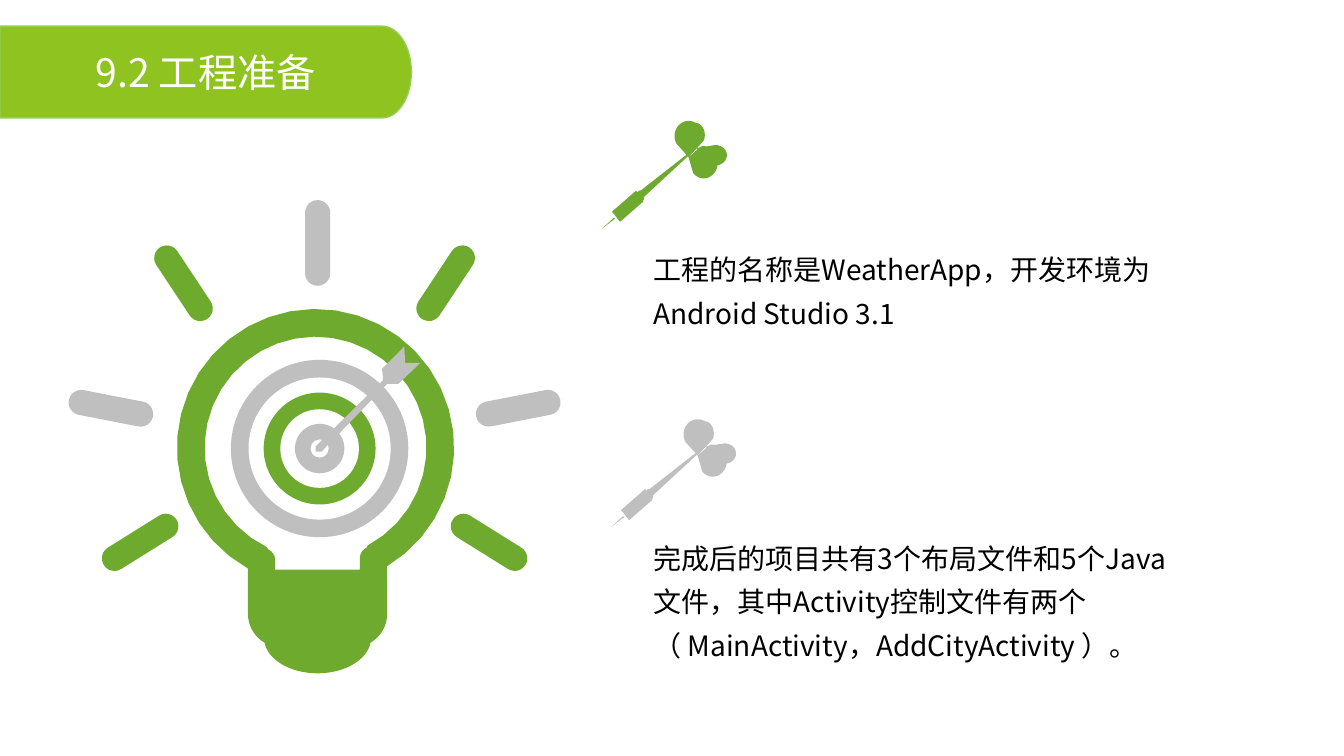
from math import atan2, cos, degrees, radians, sin

from lxml import etree
from pptx import Presentation
from pptx.dml.color import RGBColor
from pptx.enum.shapes import MSO_SHAPE
from pptx.enum.text import MSO_ANCHOR, MSO_AUTO_SIZE, PP_ALIGN
from pptx.util import Inches, Pt

OVAL, CAPSULE = MSO_SHAPE.OVAL, MSO_SHAPE.ROUNDED_RECTANGLE
MIDDLE, CENTER = MSO_ANCHOR.MIDDLE, PP_ALIGN.CENTER
GROW = MSO_AUTO_SIZE.SHAPE_TO_FIT_TEXT

GREEN = RGBColor(0x6E, 0xAA, 0x2E)
GREY = RGBColor(0xBF, 0xBF, 0xBF)
WHITE = RGBColor(0xFF, 0xFF, 0xFF)
BLACK = RGBColor(0x00, 0x00, 0x00)
BANNER_FILL = RGBColor(0x8E, 0xC3, 0x20)
BANNER_LINE = RGBColor(0x92, 0xD0, 0x50)
FONT = "Noto Sans CJK SC"
ARC_STEPS = 32

# Side rays: distance from the bulb's axis, centre height, tilt, colour
BULB_AXIS = 3.13
SIDE_RAYS = [(1.3, 2.81, 33.5, GREEN), (2.02, 4.05, 79, GREY),
             (1.73, 5.38, 122, GREEN)]
TARGET_RINGS = [(1.76, GREY), (1.41, WHITE), (1.11, GREEN),
                (0.78, WHITE), (0.49, GREY), (0.18, WHITE)]
NOTES = [
    (2.41, 0.83, "工程的名称是WeatherApp，开发环境为Android Studio 3.1"),
    (5.27, 1.27, "完成后的项目共有3个布局文件和5个Java文件，其中Activity控制文件有两个"
                 "（ MainActivity，AddCityActivity ）。"),
]


def arc(x, y, radius_x, radius_y, start, end):
    """Points on an ellipse, angles clockwise from the right."""
    angles = [radians(start + (end - start) * step / ARC_STEPS)
              for step in range(ARC_STEPS + 1)]
    return [(x + radius_x * cos(a), y + radius_y * sin(a)) for a in angles]


def leaf(tip, x, y, radius_x, radius_y):
    """An ellipse drawn out to a tip."""
    toward_tip = degrees(atan2(tip[1] - y, tip[0] - x))
    return [tip] + arc(x, y, radius_x, radius_y, toward_tip + 60, toward_tip + 300)


def paint(shape, color):
    shape.shadow.inherit = False
    shape.fill.solid()
    shape.fill.fore_color.rgb = color
    shape.line.fill.background()
    return shape


def add_outline(shapes, color, *outlines, dx=0, dy=0):
    first, *others = [[(Inches(x + dx), Inches(y + dy)) for x, y in outline]
                      for outline in outlines]
    builder = shapes.build_freeform(*first[0])
    builder.add_line_segments(first[1:])
    for points in others:
        builder.move_to(*points[0])
        builder.add_line_segments(points[1:])
    return paint(builder.convert_to_shape(), color)


def add_centred(shapes, kind, x, y, width, height, color):
    return paint(shapes.add_shape(kind, Inches(x - width / 2), Inches(y - height / 2),
                                  Inches(width), Inches(height)), color)


def add_ray(shapes, x, y, tilt, color):
    ray = add_centred(shapes, CAPSULE, x, y, 0.25, 0.85, color)
    ray.adjustments[0] = 0.5
    ray.rotation = tilt


def write(shape, text, size, color, frame_format, para_format):
    frame = shape.text_frame
    for name, value in frame_format.items():
        setattr(frame, name, value)
    para = frame.paragraphs[0]
    for name, value in para_format.items():
        setattr(para, name, value)
    span = para.add_run()
    span.text = text
    for name, value in {"size": Pt(size), "name": FONT}.items():
        setattr(span.font, name, value)
    span.font.color.rgb = color
    latin = span.font._element.find("{*}latin")
    east_asian = etree.QName(latin).namespace
    latin.addnext(latin.makeelement(f"{{{east_asian}}}ea", {"typeface": FONT}))


def add_banner(shapes):
    outline = [(0, 0.26), *arc(3.79, 0.715, 0.29, 0.455, -90, 90), (0, 1.17)]
    banner = add_outline(shapes, BANNER_FILL, outline)
    banner.line.color.rgb = BANNER_LINE
    banner.line.width = Pt(1)
    write(banner, "9.2 工程准备", 28, WHITE,
          {"vertical_anchor": MIDDLE, "word_wrap": True}, {"alignment": CENTER})


def add_dart(shapes, color, dx, dy):
    joint = (6.91, 1.47)
    base = (6.83, 1.56)
    parts = [
        [(5.97, 2.27), (6.09, 2.16), (6.1, 2.17)],               # needle
        [(6.07, 2.1), (6.31, 1.89), (6.38, 2), (6.15, 2.2)],     # barrel
        arc(6.35, 1.95, 0.04, 0.06, 0, 360),                     # collar
        leaf(joint, 7.1, 1.54, 0.11, 0.1),                       # right fin edge
        leaf(joint, 6.9, 1.34, 0.09, 0.12),                      # top fin edge
        leaf(base, 6.98, 1.61, 0.14, 0.16),                      # right fin
        leaf(base, 6.83, 1.35, 0.14, 0.15),                      # top fin
        [(6.33, 1.91), (6.79, 1.55), joint, (6.37, 1.97)],       # shaft
    ]
    dart = shapes.add_group_shape()
    for outline in parts:
        add_outline(dart.shapes, color, outline, dx=dx, dy=dy)


def add_bulb(shapes):
    add_ray(shapes, 3.15, 2.41, 0, GREY)
    for offset, y, tilt, color in SIDE_RAYS:
        for side in (1, -1):
            add_ray(shapes, BULB_AXIS + side * offset - 0.01, y, side * tilt, color)
    cap = arc(3.15, 6.33, 0.53, 0.35, 0, 180)
    body = (arc(BULB_AXIS, 4.44, 1.375, 1.375, 119, 419)
            + arc(3.51, 6.09, 0.33, 0.33, 0, 90)
            + arc(2.79, 6.09, 0.33, 0.33, 90, 180) + [(2.46, 5.64)])
    hole = (arc(BULB_AXIS, 4.44, 1.1, 1.1, 116, 422)
            + arc(3.69, 5.54, 0.12, 0.12, 245, 180)
            + [(3.57, 5.65), (2.73, 5.65)]
            + arc(2.61, 5.56, 0.12, 0.12, 0, -65))
    bulb = shapes.add_group_shape()
    add_outline(bulb.shapes, GREEN, cap)
    add_outline(bulb.shapes, GREEN, body, hole)


def add_target(shapes):
    for size, color in TARGET_RINGS:
        add_centred(shapes, OVAL, 3.17, 4.45, size, size, color)
    arrow = [(3.84, 3.81), (3.95, 3.81), (4.17, 3.6), (4.02, 3.6), (4.01, 3.44),
             (3.79, 3.66), (3.8, 3.77), (3.13, 4.43), (3.13, 4.48), (3.19, 4.48)]
    add_outline(shapes, GREY, arrow)


def add_note(shapes, top, height, text):
    box = shapes.add_textbox(Inches(6.48), Inches(top), Inches(5.28), Inches(height))
    margins = {f"margin_{side}": 0 for side in ("left", "top", "right", "bottom")}
    write(box, text, 20, BLACK,
          {**margins, "word_wrap": True, "auto_size": GROW}, {"line_spacing": 1.3})


def main():
    deck = Presentation()
    deck.slide_width, deck.slide_height = Inches(13.33), Inches(7.5)
    page = deck.slides.add_slide(deck.slide_layouts[6])
    # Title banner
    add_banner(page.shapes)
    # Darts marking the two notes
    add_dart(page.shapes, GREEN, 0, 0)
    add_dart(page.shapes, GREY, 0.09, 2.96)
    # Light bulb with target
    add_bulb(page.shapes)
    add_target(page.shapes)
    # Notes
    for top, height, text in NOTES:
        add_note(page.shapes, top, height, text)
    deck.save("out.pptx")


if __name__ == "__main__":
    main()
